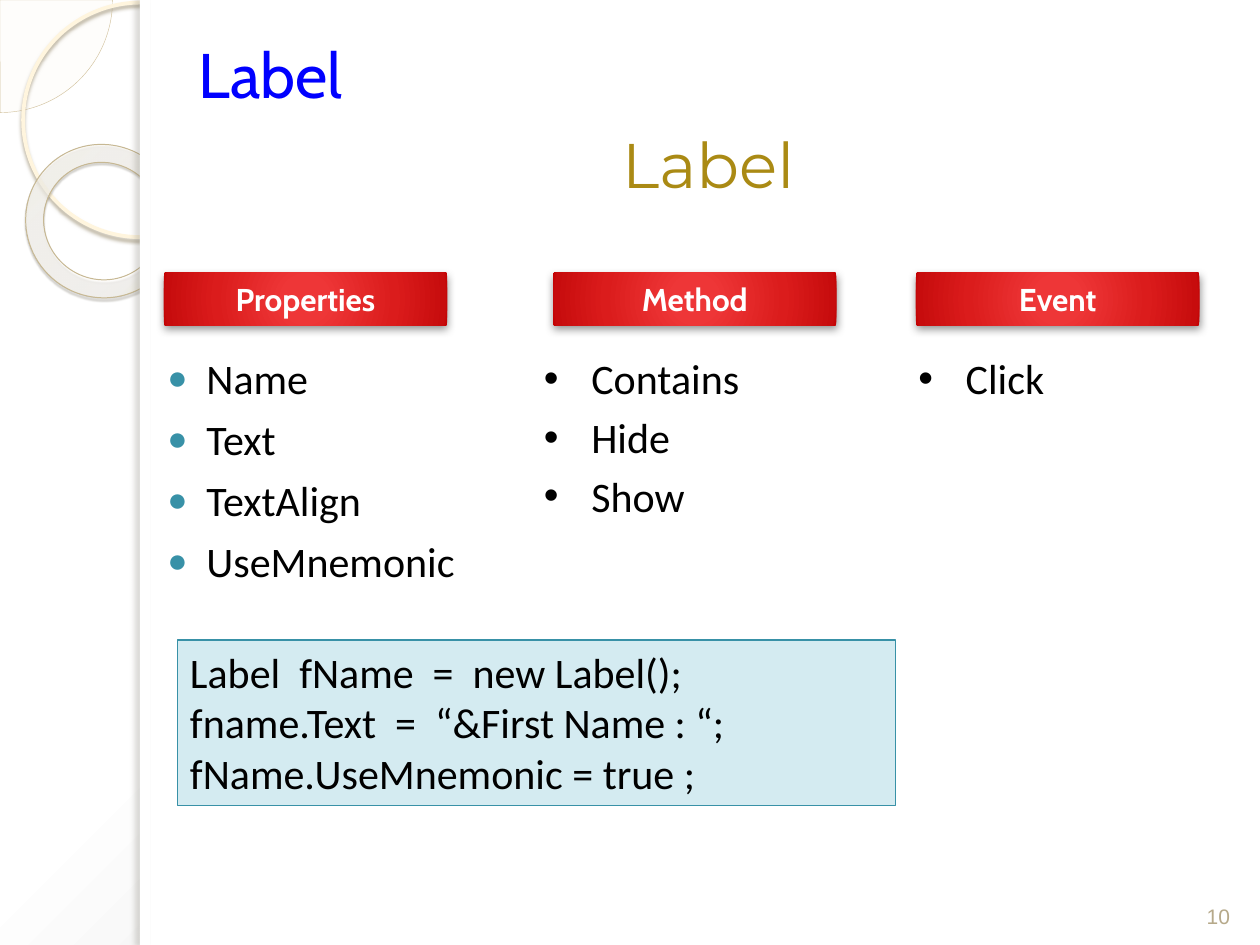
from dataclasses import dataclass
from typing import Optional

import lxml.etree
import pptx
import pptx.dml.color
import pptx.enum.shapes
import pptx.enum.text
import pptx.oxml.ns
import pptx.util

Pt = pptx.util.Pt
SHAPE = pptx.enum.shapes.MSO_SHAPE
ALIGN = pptx.enum.text.PP_ALIGN
ANCHOR = pptx.enum.text.MSO_ANCHOR
qn = pptx.oxml.ns.qn


@dataclass(frozen=True)
class Box:
    x: float
    y: float
    w: float
    h: float

    def emu(self):
        return Pt(self.x), Pt(self.y), Pt(self.w), Pt(self.h)


@dataclass(frozen=True)
class Font:
    name: str
    size: float
    color: str
    bold: bool = False


@dataclass(frozen=True)
class Bullet:
    char: str
    indent: float
    hang: float
    gap: float
    color: Optional[str] = None
    size: int = 100


@dataclass(frozen=True)
class Shadow:
    color: str
    alpha: int
    blur: float
    dist: float
    angle: int


@dataclass(frozen=True)
class Gradient:
    stops: tuple
    rect: tuple


@dataclass(frozen=True)
class Column:
    heading: str
    x: float
    items: tuple
    box: Box
    bullet: Bullet


def rgb(value: str):
    return pptx.dml.color.RGBColor.from_string(value)


def sub(parent, tag: str, **attrs):
    return lxml.etree.SubElement(parent, qn(tag), {k: str(v) for k, v in attrs.items()})


def add_color(parent, color: str, alpha: int = 100):
    clr = sub(parent, "a:srgbClr", val=color)
    if alpha < 100:
        sub(clr, "a:alpha", val=alpha * 1000)


def paint_gradient(fill, element, gradient: Gradient):
    fill.gradient()
    grad = element.find(".//" + qn("a:gradFill"))
    for child in list(grad):
        grad.remove(child)
    stops = sub(grad, "a:gsLst")
    for pos, color, alpha in gradient.stops:
        add_color(sub(stops, "a:gs", pos=pos * 1000), color, alpha)
    path = sub(grad, "a:path", path="circle")
    sub(path, "a:fillToRect", **{k: v * 1000 for k, v in zip("ltrb", gradient.rect)})


def add_shape(slide, kind, box: Box, fill=None, line: Optional[str] = None, width: float = 0,
              shadow: Optional[Shadow] = None, alpha: int = 100):
    sp = slide.shapes.add_shape(kind, *box.emu())
    sp.shadow.inherit = False
    if isinstance(fill, Gradient):
        paint_gradient(sp.fill, sp._element, fill)
    elif fill:
        sp.fill.solid()
        sp.fill.fore_color.rgb = rgb(fill)
        if alpha < 100:
            clr = sp._element.spPr.find(qn("a:solidFill") + "/" + qn("a:srgbClr"))
            sub(clr, "a:alpha", val=alpha * 1000)
    else:
        sp.fill.background()
    if line:
        sp.line.color.rgb = rgb(line)
        sp.line.width = Pt(width)
    else:
        sp.line.fill.background()
    if shadow:
        effects = sp._element.spPr.find(qn("a:effectLst"))
        outer = sub(effects, "a:outerShdw", blurRad=Pt(shadow.blur), dist=Pt(shadow.dist),
                    dir=shadow.angle * 60000, algn="ctr", rotWithShape=0)
        add_color(outer, shadow.color, shadow.alpha)
    return sp


def add_bullet(p, bullet: Bullet):
    pPr = p._p.get_or_add_pPr()
    pPr.set("marL", str(Pt(bullet.indent)))
    pPr.set("indent", str(-Pt(bullet.hang)))
    if bullet.color:
        add_color(sub(pPr, "a:buClr"), bullet.color)
    sub(pPr, "a:buSzPct", val=bullet.size * 1000)
    sub(pPr, "a:buFont", typeface="Arial")
    sub(pPr, "a:buChar", char=bullet.char)


def write(sp, lines, font: Font, align=ALIGN.LEFT, anchor=ANCHOR.TOP,
          bullet: Optional[Bullet] = None, wrap: bool = True):
    tf = sp.text_frame
    tf.word_wrap = wrap
    tf.vertical_anchor = anchor
    for i, line in enumerate(lines):
        p = tf.paragraphs[0] if i == 0 else tf.add_paragraph()
        p.add_run().text = line
        if bullet:
            add_bullet(p, bullet)
            if i:
                p.space_before = Pt(bullet.gap)
        p.alignment = align
        p.font.name = font.name
        p.font.size = Pt(font.size)
        p.font.bold = font.bold
        p.font.color.rgb = rgb(font.color)


def add_text(slide, box: Box, lines, font: Font, **options):
    write(slide.shapes.add_textbox(*box.emu()), lines, font, **options)


BACKDROP = Gradient(((0, "FFFFFF", 100), (40, "FFFFFF", 100), (100, "C5C5C5", 100)),
                    (-24, -20, 124, 120))
RING = Gradient(((0, "FFFCF6", 70), (70, "FFFEFB", 55), (100, "F0D28E", 60)),
                (-408, -50, 508, 150))
RED = Gradient(((0, "EF3737", 100), (15, "EE3637", 100), (62, "DB1C1C", 100),
                (97, "C70C0D", 100), (100, "C30001", 100)), (50, 50, 50, 50))
BODY = Font("Calibri", 24, "000000")
HEADING = Font("Cabin", 18, "FFFFFF", True)
TEAL_DOT = Bullet("●", 28.8, 22.3, 6, "3891A7", 80)
BLACK_DOT = Bullet("•", 27, 27, 4.8)
COLUMNS = (
    Column("Properties", 93.6, ("Name", "Text", "TextAlign", "UseMnemonic"),
           Box(82.1, 198, 199.4, 162), TEAL_DOT),
    Column("Method", 316, ("Contains", "Hide", "Show"), Box(303.8, 198, 180, 138), BLACK_DOT),
    Column("Event", 523.4, ("Click",), Box(517.7, 198, 170, 66), BLACK_DOT),
)
CODE = ("Label  fName  =  new Label();", "fname.Text  =  “&First Name : “;",
        "fName.UseMnemonic = true ;")


def add_decor(slide):
    pie = add_shape(slide, SHAPE.PIE, Box(-64.3, -64.3, 128.6, 128.6), "FEFAF4", "D3C39F", 0.25,
                    alpha=33)
    pie.adjustments[0] = 0
    pie.adjustments[1] = 54
    add_shape(slide, SHAPE.OVAL, Box(13.2, 1.5, 134, 134), None, "FFF5DE", 2.15,
              Shadow("B0A68F", 85, 2, 2, 90))
    ring = add_shape(slide, SHAPE.DONUT, Box(14.4, 82.8, 88.6, 87.1), RING, "C7B893", 0.58,
                     Shadow("5A5444", 35, 1, 1.2, 75))
    ring.adjustments[0] = 0.118
    ring.rotation = 38.6
    add_shape(slide, SHAPE.RECTANGLE, Box(80, 0, 640, 540), "FFFFFF")
    add_shape(slide, SHAPE.RECTANGLE, Box(80, 0, 5.8, 540), "FFFFFF",
              shadow=Shadow("736F63", 25, 3, 3, 180))


def main():
    prs = pptx.Presentation()
    prs.slide_width, prs.slide_height = Pt(720), Pt(540)
    slide = prs.slides.add_slide(prs.slide_layouts[6])
    paint_gradient(slide.background.fill, slide._element, BACKDROP)
    add_decor(slide)
    add_text(slide, Box(106.6, 11.5, 506.2, 60.5), ["Label"], Font("Cabin", 36, "0000FF"),
             anchor=ANCHOR.MIDDLE)
    for col in COLUMNS:
        add_text(slide, col.box, col.items, BODY, bullet=col.bullet)
        sp = add_shape(slide, SHAPE.RECTANGLE, Box(col.x, 156, 162, 30), RED,
                       shadow=Shadow("000000", 43, 5, 2, 90))
        write(sp, [col.heading], HEADING, ALIGN.CENTER, ANCHOR.MIDDLE)
    sp = add_shape(slide, SHAPE.RECTANGLE, Box(101.5, 365.8, 410.4, 94.5), "D4EBF1", "3891A7", 0.75)
    write(sp, CODE, BODY)
    add_text(slide, Box(348.5, 68.4, 144, 48.2), ["Label"], Font("Montserrat", 36, "AA8A14"),
             wrap=False)
    add_text(slide, Box(678.2, 496.8, 36, 37.4), ["10"], Font("Arial", 12, "B6A98A"),
             align=ALIGN.CENTER, anchor=ANCHOR.BOTTOM)
    prs.save("out.pptx")


if __name__ == "__main__":
    main()
